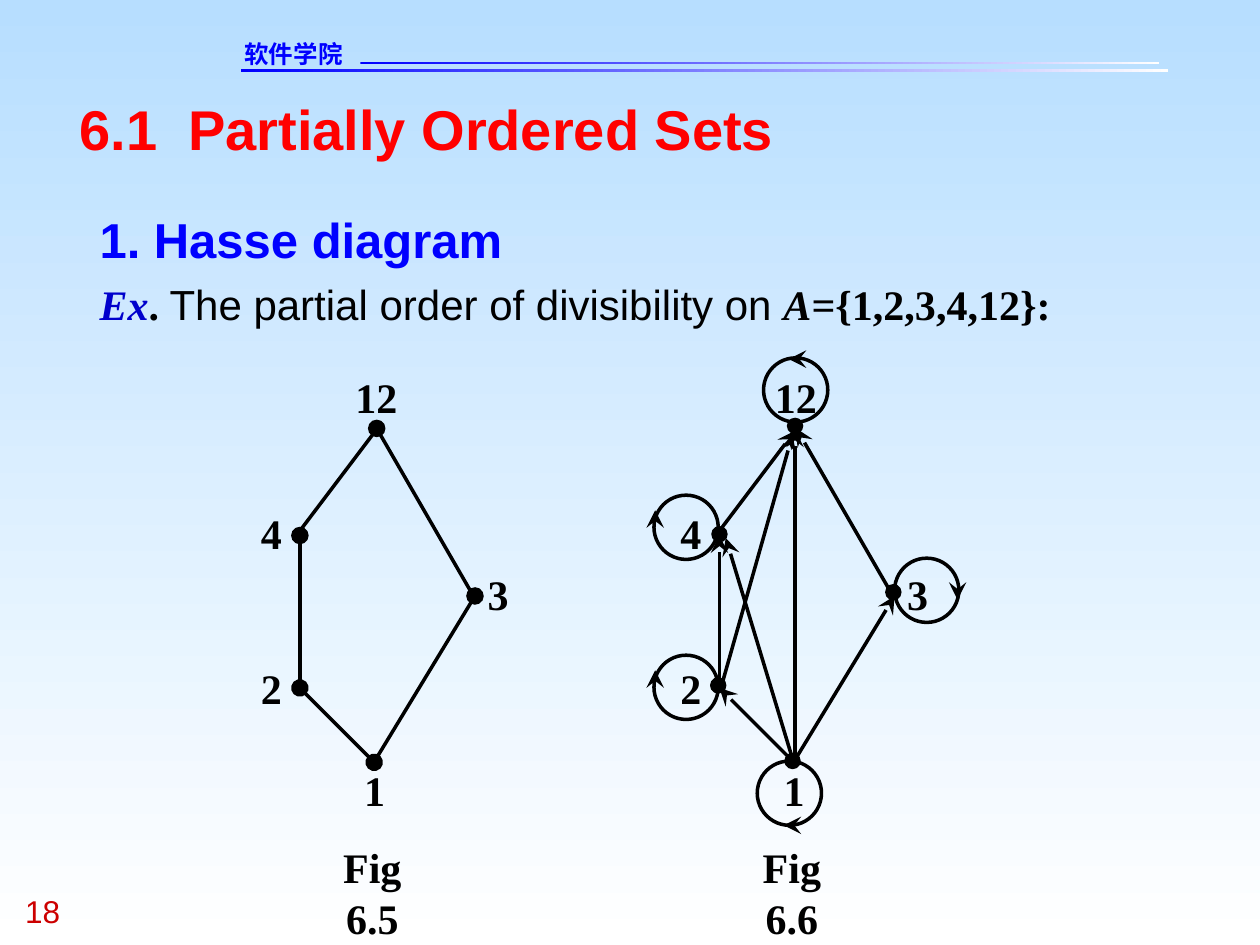
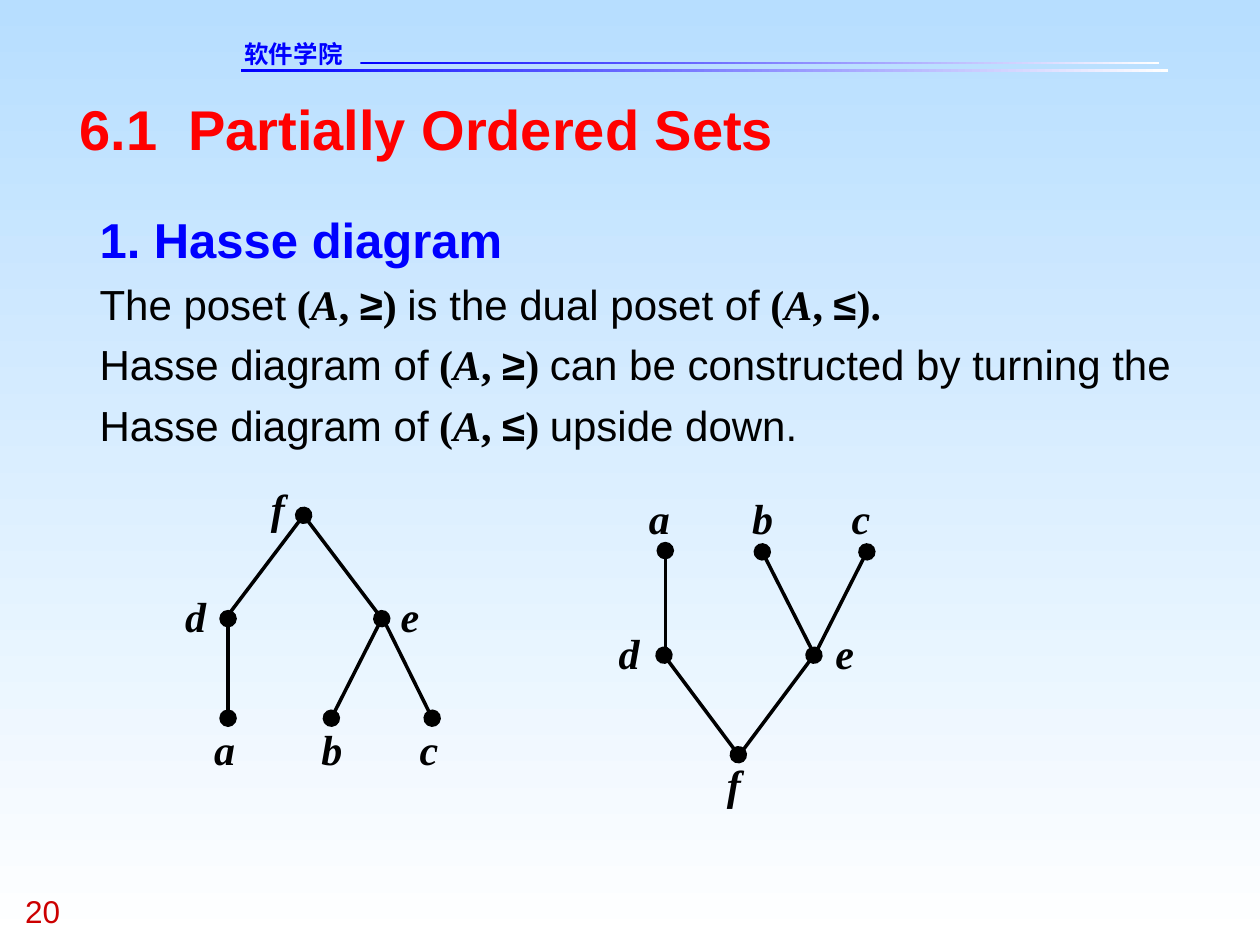
from lxml.etree import SubElement
from pptx import Presentation
from pptx.dml.color import RGBColor
from pptx.enum.shapes import MSO_CONNECTOR, MSO_SHAPE
from pptx.enum.text import MSO_ANCHOR, MSO_AUTO_SIZE, PP_ALIGN
from pptx.oxml.ns import qn
from pptx.util import Inches, Pt

COLORS = {"sky": "B7DEFF", "white": "FFFFFF", "blue": "0000FF", "ex": "0000CC",
          "title": "FF0000", "page": "CC0000", "ink": "000000"}
COLORS = {key: RGBColor.from_string(value) for key, value in COLORS.items()}
SERIF, SANS = "Times New Roman", "Arial"

# Run styles: font, bold, italic, colour
STYLES = {
    "heading": (SANS, True, False, "blue"),
    "plain": (SANS, False, False, "ink"),
    "sign": (SANS, True, False, "ink"),
    "math": (SERIF, True, False, "ink"),
    "variable": (SERIF, True, True, "ink"),
    "example": (SERIF, True, True, "ex"),
}


def add_label(slide, text, x, y, width, height, size=24, font=SERIF, color="ink",
              bold=True, italic=False, wrap=False, align=PP_ALIGN.LEFT):
    frame = slide.shapes.add_textbox(Inches(x), Inches(y), Inches(width), Inches(height)).text_frame
    frame.margin_left = frame.margin_top = frame.margin_right = frame.margin_bottom = 0
    frame.word_wrap = wrap
    paragraph = frame.paragraphs[0]
    paragraph.text = text
    paragraph.alignment = align
    paragraph.font.name, paragraph.font.size = font, Pt(size)
    paragraph.font.bold, paragraph.font.italic = bold, italic
    paragraph.font.color.rgb = COLORS[color]


def add_edge(slide, x1, y1, x2, y2, head=None, tail=None):
    edge = slide.shapes.add_connector(
        MSO_CONNECTOR.STRAIGHT, Inches(x1), Inches(y1), Inches(x2), Inches(y2))
    edge.line.width = Pt(2)
    edge.line.color.rgb = COLORS["ink"]
    line = edge.line._get_or_add_ln()
    for tag, kind in (("a:headEnd", head), ("a:tailEnd", tail)):
        if kind:
            SubElement(line, qn(tag), type=kind, w="lg", len="lg")
    SubElement(edge._element.spPr, qn("a:effectLst"))


prs = Presentation()
prs.slide_width, prs.slide_height = Inches(10), Inches(7.5)

# Shared background
sky = prs.slide_master.background.fill
sky.gradient()
sky.gradient_angle = 270
for stop, color in zip(sky.gradient_stops, ("sky", "white")):
    stop.color.rgb = COLORS[color]

# Body text, as paragraphs of (text, style) runs
poset = {sign: [(" (", "math"), ("A", "variable"), (", ", "math"), (sign, "sign")]
         for sign in "≥≤"}
heading = [("1. Hasse diagram", "heading")]
pages = [
    ("18", 1.04, [
        heading,
        [("Ex", "example"), (". ", "math"), ("The partial order of divisibility on ", "plain"),
         ("A", "variable"), ("={1,2,3,4,12}:", "math")],
    ]),
    ("20", 2, [
        heading,
        [("The poset", "plain"), *poset["≥"], (") ", "math"),
         ("is the dual poset of", "plain"), *poset["≤"], (").", "math")],
        [("Hasse diagram of", "plain"), *poset["≥"], (") ", "math"),
         ("can be constructed by turning the Hasse diagram of", "plain"),
         *poset["≤"], (") ", "math"), ("upside down.", "plain")],
    ]),
]

for number, body_height, paragraphs in pages:
    slide = prs.slides.add_slide(prs.slide_layouts[1])

    # Header bands, school name and page number
    for x, y, width in ((1.91, 0.55, 7.36), (2.86, 0.49, 6.34)):
        band = slide.shapes.add_shape(
            MSO_SHAPE.RECTANGLE, Inches(x), Inches(y), Inches(width), Inches(0.02))
        band.shadow.inherit = False
        band.line.fill.background()
        band.fill.gradient()
        band.fill.gradient_angle = 0
        for stop, color in zip(band.fill.gradient_stops, ("blue", "white")):
            stop.color.rgb = COLORS[color]
    add_label(slide, "软件学院", 1.94, 0.31, 1.45, 0.23, 14, "DejaVu Sans", "blue")
    add_label(slide, number, 0.2, 7.08, 0.75, 0.3, 18, SANS, "page", bold=False)

    # Title and body placeholders
    title, body = slide.shapes.title, slide.placeholders[1]
    for holder, box in ((title, (0.63, 0.75, 8.75, 0.53)),
                        (body, (0.79, 1.57, 8.76, body_height))):
        holder.left, holder.top, holder.width, holder.height = map(Inches, box)
        frame = holder.text_frame
        frame.margin_left = frame.margin_top = frame.margin_right = frame.margin_bottom = 0
        frame.vertical_anchor = MSO_ANCHOR.TOP
        frame.auto_size = MSO_AUTO_SIZE.NONE
        frame.word_wrap = True

    title.text = "6.1  Partially Ordered Sets"
    headline = title.text_frame.paragraphs[0]
    headline.alignment = PP_ALIGN.LEFT
    headline.font.name, headline.font.size, headline.font.bold = SANS, Pt(32), True
    headline.font.color.rgb = COLORS["title"]

    for index, runs in enumerate(paragraphs):
        paragraph = body.text_frame.paragraphs[0] if index == 0 else body.text_frame.add_paragraph()
        properties = paragraph._p.get_or_add_pPr()
        properties.set("marL", "0")
        properties.set("indent", "0")
        SubElement(properties, qn("a:buNone"))
        paragraph.line_spacing = 1.2
        paragraph.space_before = Pt(0)
        paragraph.font.size = Pt(28 if index == 0 else 24)
        for text, style in runs:
            run = paragraph.add_run()
            run.text = text
            run.font.name, run.font.bold, run.font.italic, color = STYLES[style]
            run.font.color.rgb = COLORS[color]

divisibility, dual = prs.slides

# Figures 6.5 and 6.6: one diagram, drawn with dots and then with arrows
divisors = [("2", 2.07, 5.26), ("1", 2.89, 6.07), ("4", 2.07, 4.03),
            ("12", 2.82, 2.95), ("3", 3.87, 4.51)]
covers = [(2.38, 4.25, 2.38, 5.43, "oval", None),
          (2.98, 3.42, 2.39, 4.2, None, None),
          (2.38, 5.46, 2.97, 6.05, "oval", "oval"),
          (3.77, 4.73, 2.98, 6.03, "oval", None),
          (2.99, 3.4, 3.74, 4.7, "oval", None)]
for caption, shift, directed in (("Fig 6.5", 0, False), ("Fig 6.6", 3.33, True)):
    add_label(divisibility, caption, 2.48 + shift, 6.68, 0.95, 0.8,
              wrap=True, align=PP_ALIGN.CENTER)
    for text, x, y in divisors:
        add_label(divisibility, text, x + shift, y, 0.17 * len(text), 0.4)
    for x1, y1, x2, y2, head, tail in covers:
        ends = ("stealth", None) if directed else (head, tail)
        add_edge(divisibility, x1 + shift, y1, x2 + shift, y2, *ends)

# Figure 6.6: transitive arrows
for upper_and_lower in ((5.76, 4.27, 6.28, 5.99), (6.31, 3.41, 6.31, 5.99),
                        (6.29, 3.45, 5.73, 5.43)):
    add_edge(divisibility, *upper_and_lower, head="stealth")

# Figure 6.6: nodes and the reflexive loops around their labels
nodes = [(5.65, 4.18), (5.64, 5.38), (6.23, 5.98), (7.03, 4.64), (6.25, 3.32)]
loops = [(5.19, 3.93), (5.19, 5.2), (6.01, 6.04), (6.06, 2.84), (7.1, 4.43)]
for places, size, weight in ((nodes, 0.12, 0.75), (loops, 0.51, 2)):
    for x, y in places:
        circle = divisibility.shapes.add_shape(
            MSO_SHAPE.OVAL, Inches(x), Inches(y), Inches(size), Inches(size))
        circle.shadow.inherit = False
        circle.line.color.rgb = COLORS["ink"]
        circle.line.width = Pt(weight)
        if places is nodes:
            circle.fill.solid()
            circle.fill.fore_color.rgb = COLORS["ink"]
        else:
            circle.fill.background()
for loop_arrow in ((5.2, 4.17, 5.2, 4.05), (5.2, 5.43, 5.2, 5.32), (6.34, 6.55, 6.22, 6.55),
                   (6.38, 2.85, 6.26, 2.85), (7.6, 4.64, 7.6, 4.76)):
    add_edge(divisibility, *loop_arrow, tail="stealth")

# Poset and its dual
letters = [
    ("a", 1.7, 5.74), ("b", 2.55, 5.74), ("c", 3.33, 5.74),
    ("d", 1.47, 4.69), ("e", 3.18, 4.69), ("f", 2.15, 3.83),
    ("a", 5.15, 3.91), ("b", 5.97, 3.91), ("c", 6.76, 3.91),
    ("d", 4.91, 4.98), ("e", 6.63, 4.98), ("f", 5.77, 6.02),
]
for letter, x, y in letters:
    add_label(dual, letter, x, y, 0.17, 0.4, italic=True)

hasse_edges = [
    (1.81, 4.91, 1.81, 5.7, "oval", "oval"), (2.41, 4.09, 1.82, 4.87, "oval"),
    (3.04, 4.91, 3.43, 5.7, None, "oval"), (3.03, 4.91, 2.63, 5.7, "oval", "oval"),
    (2.41, 4.09, 3, 4.87),
    (5.28, 4.37, 5.28, 5.15, "oval"), (6.46, 5.2, 5.87, 5.99, "oval"),
    (6.05, 4.38, 6.45, 5.17, "oval"), (6.88, 4.38, 6.48, 5.17, "oval"),
    (5.27, 5.2, 5.86, 5.99, "oval", "oval"),
]
for hasse_edge in hasse_edges:
    add_edge(dual, *hasse_edge)

prs.save("out.pptx")
